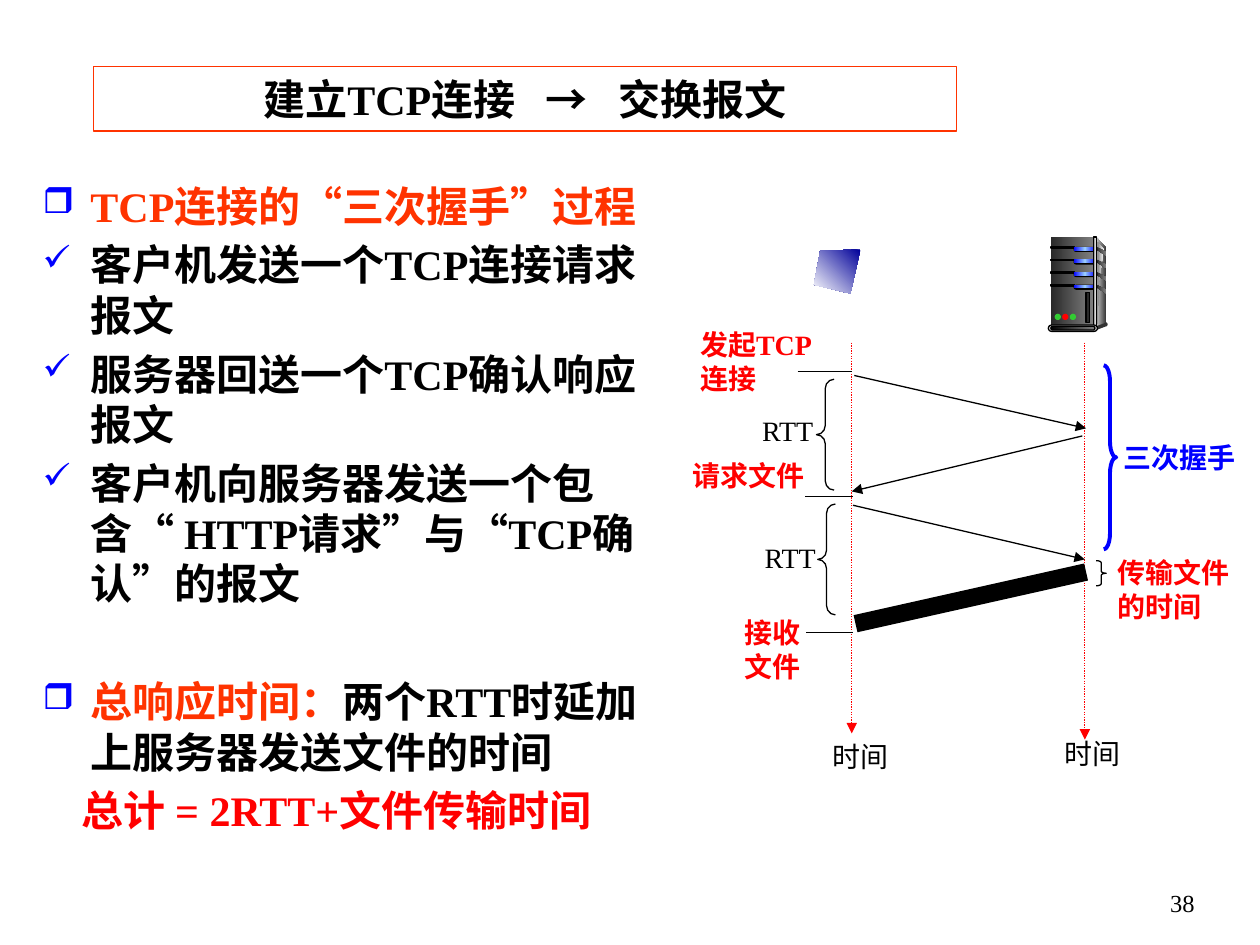
from dataclasses import dataclass
from typing import NamedTuple

from lxml import etree
from pptx import Presentation
from pptx import util as u
from pptx.dml.color import RGBColor
from pptx.enum import dml, shapes, text
from pptx.oxml.ns import qn


@dataclass(frozen=True)
class Theme:
    font: str = "Times New Roman"
    chinese: str = "Noto Sans CJK SC"
    accent: str = "Comic Neue"
    black: str = "000000"
    red: str = "FF0000"
    orange: str = "FF3300"
    blue: str = "0000FF"
    green: str = "33CC33"
    charcoal: str = "333333"
    silver: str = "DDDDDD"
    casing: tuple = ("292929", "808080")
    lamp: tuple = ("0000FF", "99CCFF", "0000FF")
    large: int = 24
    small: int = 16
    number: int = 14
    gap: float = 4.8
    thin: float = 0.75


THEME = Theme()
KIND = shapes.MSO_SHAPE


class Span(NamedTuple):
    words: str
    color: str = THEME.black
    font: str = THEME.font
    spacing: int = 0


class Item(NamedTuple):
    spans: list
    bullet: str = ""
    left: float = 0.38
    before: float = THEME.gap


class Label(NamedTuple):
    words: str
    box: tuple
    color: str = THEME.red
    bold: bool = True
    wrap: bool = True
    font: str = THEME.font


class Line(NamedTuple):
    start: tuple
    end: tuple
    color: str = THEME.black
    width: float = THEME.thin
    arrow: bool = False
    dotted: bool = False


class Brace(NamedTuple):
    kind: KIND
    box: tuple
    bend: float
    color: str = THEME.black
    width: float = THEME.thin


def inches(*values: float) -> list:
    return [u.Cm(value * 2.54) for value in values]


def write(paragraph, words: str, *, size: float, color: str = THEME.black, bold: bool = False,
          font: str = THEME.font, spacing: int = 0) -> None:
    run = paragraph.add_run()
    run.text = words
    run.font.size = u.Pt(size)
    run.font.bold = bold
    run.font.color.rgb = RGBColor.from_string(color)
    run.font.name = font
    properties = run.font._element
    etree.SubElement(properties, qn("a:ea"), typeface=THEME.chinese)
    if spacing:
        properties.set("spc", str(spacing * 100))


def add_text(slide, words: str, box: tuple, *, wrap: bool = True, align=None, **style) -> None:
    frame = slide.shapes.add_textbox(*inches(*box)).text_frame
    frame.word_wrap = wrap
    for index, row in enumerate(words.split("\n")):
        paragraph = frame.add_paragraph() if index else frame.paragraphs[0]
        paragraph.alignment = align
        write(paragraph, row, **style)


def paint(shape, fill=None, line: str = "", width: float = THEME.thin, angle: float = 0) -> None:
    shape.shadow.inherit = False
    if isinstance(fill, tuple):
        shape.fill.gradient()
        shape.fill.gradient_angle = angle
        stops = shape._element.spPr.find(".//" + qn("a:gsLst"))
        for stop in list(stops):
            stops.remove(stop)
        for index, color in enumerate(fill):
            position = str(100000 * index // (len(fill) - 1))
            stop = etree.SubElement(stops, qn("a:gs"), pos=position)
            etree.SubElement(stop, qn("a:srgbClr"), val=color)
    elif fill:
        shape.fill.solid()
        shape.fill.fore_color.rgb = RGBColor.from_string(fill)
    else:
        shape.fill.background()
    if line:
        shape.line.color.rgb = RGBColor.from_string(line)
        shape.line.width = u.Pt(width)
    else:
        shape.line.fill.background()


def add_shape(parent, kind, box: tuple, fill=None, line: str = "", width: float = THEME.thin, bend: float = None):
    shape = parent.shapes.add_shape(kind, *inches(*box))
    if bend is not None:
        shape.adjustments[0] = bend
    paint(shape, fill, line, width)
    return shape


def add_polygon(parent, points: list, fill, angle: float = 0) -> None:
    start, *rest = [tuple(inches(*point)) for point in points]
    builder = parent.shapes.build_freeform(*start)
    builder.add_line_segments(rest, close=True)
    paint(builder.convert_to_shape(), fill, angle=angle)


def add_line(slide, line: Line) -> None:
    connector = slide.shapes.add_connector(shapes.MSO_CONNECTOR.STRAIGHT, *inches(*line.start, *line.end))
    connector.line.color.rgb = RGBColor.from_string(line.color)
    connector.line.width = u.Pt(line.width)
    if line.dotted:
        connector.line.dash_style = dml.MSO_LINE.ROUND_DOT
    properties = connector._element.spPr
    if line.arrow:
        etree.SubElement(properties.find(qn("a:ln")), qn("a:tailEnd"), type="triangle")
    etree.SubElement(properties, qn("a:effectLst"))


def add_body(slide, items: list) -> None:
    frame = slide.shapes.add_textbox(*inches(0.24, 1.38, 5.03, 5.66)).text_frame
    frame.word_wrap = True
    for index, item in enumerate(items):
        paragraph = frame.add_paragraph() if index else frame.paragraphs[0]
        properties = paragraph._p.get_or_add_pPr()
        properties.set("marL", str(inches(item.left)[0]))
        if item.bullet:
            properties.set("indent", str(-inches(item.left)[0]))
            color = etree.SubElement(properties, qn("a:buClr"))
            etree.SubElement(color, qn("a:srgbClr"), val=THEME.blue)
            etree.SubElement(properties, qn("a:buSzPct"), val="85000")
            etree.SubElement(properties, qn("a:buChar"), char=item.bullet)
        if index:
            paragraph.space_before = u.Pt(item.before)
        for span in item.spans:
            write(paragraph, span.words, size=THEME.large, color=span.color, bold=True, font=span.font)


def add_server(slide) -> None:
    server = slide.shapes.add_group_shape()
    add_polygon(server, [(8.7, 1.88), (8.78, 1.97), (8.78, 2.56), (8.69, 2.59)], (THEME.silver, THEME.charcoal))
    add_shape(server, KIND.RECTANGLE, (8.34, 1.88, 0.34, 0.71), THEME.casing)
    add_polygon(server, [(8.71, 1.92), (8.76, 1.98), (8.72, 2.25), (8.71, 2.57)], ("808080", "F8F8F8"))
    for bay in range(4):
        top = 1.96 + 0.1 * bay
        add_polygon(server, [(8.7, top), (8.78, top + 0.04), (8.78, top + 0.07), (8.7, top + 0.02)], THEME.casing)
        add_shape(server, KIND.RECTANGLE, (8.34, top, 0.19, 0.01), THEME.black, THEME.black)
        add_shape(server, KIND.ROUNDED_RECTANGLE, (8.52, top, 0.19, 0.04), THEME.black, bend=0.5)
        add_shape(server, KIND.ROUNDED_RECTANGLE, (8.52, top, 0.18, 0.03), THEME.lamp, bend=0.5)
    add_shape(server, KIND.RECTANGLE, (8.68, 1.88, 0.02, 0.72),
              (THEME.charcoal, THEME.silver, THEME.charcoal), THEME.black)
    add_shape(server, KIND.OVAL, (8.77, 2.56, 0.02, 0.03), THEME.charcoal)
    add_polygon(server, [(8.7, 2.59), (8.7, 2.62), (8.78, 2.59), (8.78, 2.56)], THEME.charcoal)
    add_shape(server, KIND.ROUNDED_RECTANGLE, (8.32, 2.58, 0.39, 0.05), THEME.silver, THEME.black, bend=0.5)
    add_shape(server, KIND.ROUNDED_RECTANGLE, (8.34, 2.59, 0.35, 0.03), ("000000", "808080"), THEME.black, bend=0.5)
    for index, color in enumerate((THEME.green, THEME.red, THEME.green)):
        add_shape(server, KIND.OVAL, (8.37 + 0.06 * index, 2.49, 0.05, 0.05), color)
    add_shape(server, KIND.RECTANGLE, (8.62, 2.32, 0.03, 0.24), "292929", THEME.black)


OPEN_QUOTE, CLOSE_QUOTE = (Span(mark, font=THEME.chinese) for mark in "“”")
ITEMS = [
    Item([Span("TCP连接的", THEME.orange), OPEN_QUOTE._replace(color=THEME.orange), Span("三次握手", THEME.orange),
          CLOSE_QUOTE._replace(color=THEME.orange), Span("过程", THEME.orange)], "❒"),
    Item([Span("客户机发送一个TCP连接请求报文")], "✓"),
    Item([Span("服务器回送一个TCP确认响应报文")], "✓"),
    Item([Span("客户机向服务器发送一个包含"), OPEN_QUOTE._replace(words="“ "), Span("HTTP请求"), CLOSE_QUOTE,
          Span("与"), OPEN_QUOTE, Span("TCP确认"), CLOSE_QUOTE, Span("的报文")], "✓"),
    Item([Span("总响应时间：", THEME.orange), Span("两个RTT时延加上服务器发送文件的时间")], "❒", before=38.5),
    Item([Span("总计 = 2RTT+文件传输时间", THEME.red)], left=0.31),
]
LINES = [
    Line((6.76, 2.72), (6.76, 5.82), THEME.red, arrow=True, dotted=True),
    Line((8.61, 2.72), (8.61, 5.87), THEME.red, arrow=True, dotted=True),
    Line((6.78, 2.98), (8.62, 3.4), arrow=True),
    Line((8.59, 3.46), (6.76, 3.9), arrow=True),
    Line((6.77, 4.01), (8.61, 4.44), arrow=True),
    Line((8.62, 4.54), (6.79, 4.95), width=10),
    Line((6.33, 2.95), (6.76, 2.95)),
    Line((6.39, 3.94), (6.77, 3.94)),
    Line((6.77, 5.02), (6.4, 5.02)),
]
BRACES = [
    Brace(KIND.RIGHT_BRACE, (8.7, 4.45, 0.08, 0.2), 0.2),
    Brace(KIND.LEFT_BRACE, (6.48, 3.01, 0.14, 0.88), 0.52),
    Brace(KIND.LEFT_BRACE, (6.49, 4, 0.14, 0.88), 0.52),
    Brace(KIND.RIGHT_BRACE, (8.76, 2.9, 0.1, 1.46), 1.25, THEME.blue, 2.25),
]
LABELS = [
    Label("传输文件的时间", (8.77, 4.36, 1.19, 0.64)),
    Label("发起TCP\n连接", (5.46, 2.55, 1.27, 0.64)),
    Label("请求文件", (5.4, 3.59, 1.26, 0.37)),
    Label("接收\n文件", (5.81, 4.84, 0.88, 0.64)),
    Label("三次握手", (8.82, 3.45, 1.11, 0.37), THEME.blue, font=THEME.accent),
    Label("RTT", (5.95, 3.23, 0.62, 0.37), THEME.black, False, False),
    Label("RTT", (5.97, 4.24, 0.62, 0.37), THEME.black, False, False),
    Label("时间", (6.51, 5.82, 0.65, 0.37), THEME.black, False, False),
    Label("时间", (8.35, 5.8, 0.65, 0.37), THEME.black, False, False),
]


def main() -> None:
    presentation = Presentation()
    presentation.slide_width, presentation.slide_height = inches(10, 7.5)
    slide = presentation.slides.add_slide(presentation.slide_layouts[6])
    add_text(slide, "38", (9.08, 7, 0.5, 0.5), size=THEME.number, align=text.PP_ALIGN.RIGHT)
    add_body(slide, ITEMS)
    for line in LINES:
        add_line(slide, line)
    for brace in BRACES:
        add_shape(slide, brace.kind, brace.box, line=brace.color, width=brace.width, bend=brace.bend)
    for label in LABELS:
        add_text(slide, label.words, label.box, wrap=label.wrap, size=THEME.small,
                 color=label.color, bold=label.bold, font=label.font)
    title = add_shape(slide, KIND.RECTANGLE, (0.74, 0.53, 6.85, 0.51), line=THEME.orange)
    paragraph = title.text_frame.paragraphs[0]
    paragraph.alignment = text.PP_ALIGN.CENTER
    space = Span(" ", spacing=12)
    for span in (Span("建立TCP连接"), space, Span("→"), space, Span("交换报文")):
        write(paragraph, span.words, size=THEME.large, bold=True, spacing=span.spacing)
    add_server(slide)
    add_polygon(slide, [(6.83, 1.98), (6.51, 1.99), (6.46, 2.26), (6.75, 2.33)], ("000099", "FFFFFF"), angle=225)
    presentation.save("out.pptx")


if __name__ == "__main__":
    main()
